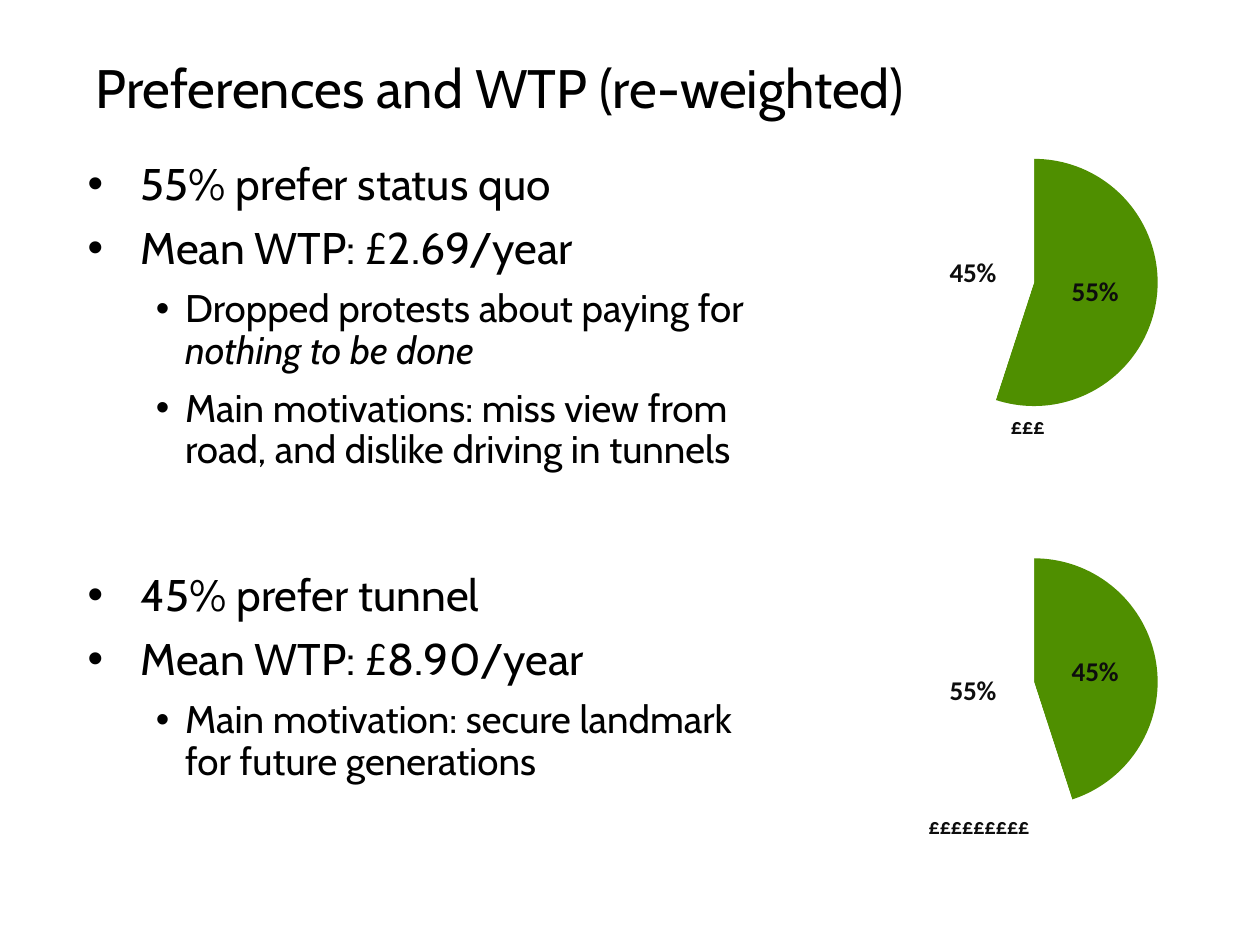
from lxml import etree
from pptx import Presentation
from pptx.chart.data import CategoryChartData
from pptx.dml.color import RGBColor
from pptx.enum.chart import XL_CHART_TYPE as ChartType, XL_LABEL_POSITION as LabelPosition
from pptx.enum.text import MSO_ANCHOR as Anchor
from pptx.oxml import parse_xml
from pptx.oxml.ns import nsdecls, qn
from pptx.util import Inches, Pt

COLOURS = {"text": "000000", "label": "0D0D0D", "slice": "4F8F00", "rest": "FFFFFF"}
BODY_FONT, CHART_FONT = "Cabin", "Calibri"

# Per outline level: left margin, hanging indent (inches), size (points)
LEVELS = [(0.6, 0.6, 36), (1.1, 0.33, 31.3)]

# Bullet lines: level, then (text, italic) runs
STATUS_QUO = [
    (0, [("55% prefer status quo", False)]),
    (0, [("Mean WTP: £2.69/year", False)]),
    (1, [("Dropped protests about paying for ", False), ("nothing to be done", True)]),
    (1, [("Main motivations: miss view from road, and dislike driving in tunnels", False)]),
]
TUNNEL = [
    (0, [("45% prefer tunnel", False)]),
    (0, [("Mean WTP: £8.90/year", False)]),
    (1, [("Main motivation: secure landmark for future generations", False)]),
]


def style_font(font, name, size, colour, bold=False):
    font.name = name
    font.size = Pt(size)
    font.bold = bold
    font.color.rgb = RGBColor.from_string(COLOURS[colour])


def add_text_frame(slide, left, top, width, height, anchor=Anchor.TOP):
    box = slide.shapes.add_textbox(Inches(left), Inches(top), Inches(width), Inches(height))
    frame = box.text_frame
    frame.word_wrap = True
    frame.vertical_anchor = anchor
    return frame


def add_title(slide, text):
    paragraph = add_text_frame(slide, 0.98, 0, 12.27, 2.06, Anchor.MIDDLE).paragraphs[0]
    paragraph.text = text
    paragraph.line_spacing = 0.9
    style_font(paragraph.font, BODY_FONT, 44, "text")


def add_bullets(slide, top, height, lines):
    frame = add_text_frame(slide, 0.89, top, 8.03, height)
    for index, (level, runs) in enumerate(lines):
        paragraph = frame.paragraphs[0] if index == 0 else frame.add_paragraph()
        margin, hanging, size = LEVELS[level]
        paragraph.level = level
        paragraph.line_spacing = 0.9
        paragraph.space_before = Pt(13 if index else 0)
        properties = paragraph._p.get_or_add_pPr()
        properties.set("marL", str(Inches(margin)))
        properties.set("indent", str(-Inches(hanging)))
        etree.SubElement(properties, qn("a:buFont")).set("typeface", "Arial")
        etree.SubElement(properties, qn("a:buChar")).set("char", "•")
        style_font(paragraph.font, BODY_FONT, size, "text")
        for text, italic in runs:
            run = paragraph.add_run()
            run.text = text
            if italic:
                run.font.italic = True


def fill_plot_area(chart):
    """Let the pie take the whole chart frame."""
    plot_area = chart._chartSpace.chart.plotArea
    for layout in plot_area.findall(qn("c:layout")):
        plot_area.remove(layout)
    plot_area.insert(0, parse_xml(
        f'<c:layout {nsdecls("c")}><c:manualLayout><c:layoutTarget val="inner"/>'
        '<c:xMode val="edge"/><c:yMode val="edge"/><c:x val="0.005"/><c:y val="0.005"/>'
        '<c:w val="0.99"/><c:h val="0.99"/></c:manualLayout></c:layout>'))


def add_share_pie(slide, top, share):
    data = CategoryChartData()
    data.categories = ["1", "2"]
    data.add_series("Series 1", (share, 100 - share))
    chart = slide.shapes.add_chart(
        ChartType.PIE, Inches(10.25), Inches(top), Inches(2.84), Inches(2.82), data).chart
    chart.has_legend = False
    chart.has_title = False
    style_font(chart.font, CHART_FONT, 10, "text")
    fill_plot_area(chart)

    plot = chart.plots[0]
    plot.vary_by_categories = False
    for index, colour in enumerate(("slice", "rest")):
        point_format = plot.series[0].points[index].format
        point_format.fill.solid()
        point_format.fill.fore_color.rgb = RGBColor.from_string(COLOURS[colour])
        point_format.line.fill.background()

    plot.has_data_labels = True
    labels = plot.data_labels
    labels.show_percentage = True
    labels.show_value = False
    labels.number_format = "0%"
    labels.number_format_is_linked = False
    labels.position = LabelPosition.CENTER
    style_font(labels.font, CHART_FONT, 22, "label", bold=True)


def add_pounds(slide, left, top, width, count):
    frame = add_text_frame(slide, left, top, width, 0.42, Anchor.MIDDLE)
    frame.word_wrap = False
    frame.margin_left = frame.margin_right = Inches(0.06)
    frame.margin_top = frame.margin_bottom = Inches(0.06)
    paragraph = frame.paragraphs[0]
    paragraph.text = "£" * count
    style_font(paragraph.font, CHART_FONT, 18, "label", bold=True)


def main():
    presentation = Presentation()
    presentation.slide_width, presentation.slide_height = Inches(14.22), Inches(10.67)
    slide = presentation.slides.add_slide(presentation.slide_layouts[6])

    add_title(slide, "Preferences and WTP (re-weighted)")

    # Status quo
    add_bullets(slide, 1.78, 4.2, STATUS_QUO)
    add_share_pie(slide, 1.78, 55)
    add_pounds(slide, 11.35, 4.6, 0.5, 3)

    # Tunnel
    add_bullets(slide, 6.42, 3.36, TUNNEL)
    add_share_pie(slide, 6.29, 45)
    add_pounds(slide, 10.42, 9.11, 1.26, 9)

    presentation.save("out.pptx")


if __name__ == "__main__":
    main()
